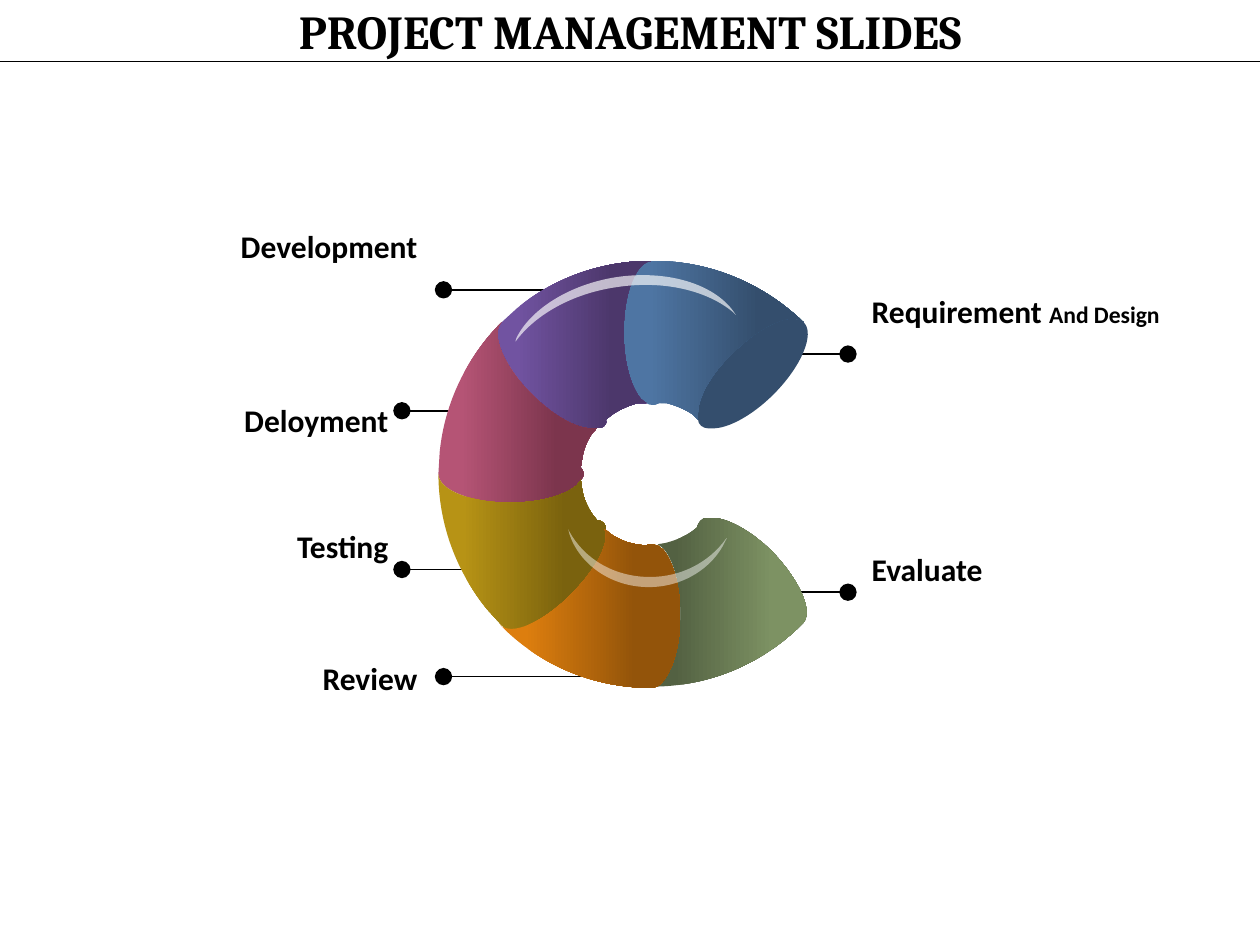
from dataclasses import dataclass

from lxml import etree
from pptx import Presentation
from pptx.dml.color import RGBColor
from pptx.enum.shapes import MSO_CONNECTOR
from pptx.enum.text import MSO_AUTO_SIZE, PP_ALIGN
from pptx.oxml.ns import qn
from pptx.util import Inches, Pt

STRAIGHT = MSO_CONNECTOR.STRAIGHT
FIT_SHAPE = MSO_AUTO_SIZE.SHAPE_TO_FIT_TEXT
LEFT, CENTER, RIGHT = PP_ALIGN.LEFT, PP_ALIGN.CENTER, PP_ALIGN.RIGHT


@dataclass(frozen=True)
class Theme:
    ink: str = "000000"
    shine: str = "FFFFFF"
    blue: tuple = ("4E75A3", "344E6D")
    purple: tuple = ("7153A1", "4C376B")
    pink: tuple = ("B55475", "7C354D")
    gold: tuple = ("B79315", "7A620E")
    green: tuple = ("536142", "7D9263")
    orange: tuple = ("DD7E0E", "93540A")
    title_font: str = "Cambria"
    label_font: str = "Calibri"
    title_size: float = 27
    label_size: float = 18
    detail_size: float = 13.5


class SlideBuilder:
    def __init__(self, page, theme):
        self.page = page
        self.theme = theme

    def line(self, start, end, width, dot=False):
        x1, y1 = start
        x2, y2 = end
        connector = self.page.shapes.add_connector(
            STRAIGHT, Inches(x1), Inches(y1), Inches(x2), Inches(y2))
        connector.line.color.rgb = RGBColor.from_string(self.theme.ink)
        connector.line.width = Pt(width)
        properties = connector._element.spPr
        if dot:
            etree.SubElement(properties.find(qn("a:ln")), qn("a:headEnd"),
                             type="oval", w="lg", len="lg")
        etree.SubElement(properties, qn("a:effectLst"))

    def outline(self, drawing):
        letters, points = [], []
        for command in drawing.split(";"):
            letter, *numbers = command.split()
            lengths = [Inches(float(number)) for number in numbers]
            letters.append(letter)
            points.extend(zip(lengths[::2], lengths[1::2]))
        builder = self.page.shapes.build_freeform(*points[0], scale=1.0)
        builder.add_line_segments(points[1:], close=True)
        shape = builder.convert_to_shape()
        shape.shadow.inherit = False
        shape.line.fill.background()

        nodes = iter(list(next(shape._element.iter(qn("a:path")))))
        for letter in letters:
            node = next(nodes)
            if letter == "C":
                curve = etree.Element(qn("a:cubicBezTo"))
                node.addprevious(curve)
                for corner in (node, next(nodes), next(nodes)):
                    curve.append(corner[0])
                    corner.getparent().remove(corner)
        return shape

    def solid(self, color, drawing, opacity=100):
        shape = self.outline(drawing)
        shape.fill.solid()
        shape.fill.fore_color.rgb = RGBColor.from_string(color)
        if opacity < 100:
            tone = shape._element.spPr.find(qn("a:solidFill"))[0]
            etree.SubElement(tone, qn("a:alpha"), val=str(opacity * 1000))

    def segment(self, colors, drawing):
        fill = self.outline(drawing).fill
        fill.gradient()
        fill.gradient_angle = 0
        for stop, color, position in zip(fill.gradient_stops, colors, (0.14, 0.75)):
            stop.color.rgb = RGBColor.from_string(color)
            stop.position = position

    def text(self, left, top, width, height, spans, font, align):
        box = self.page.shapes.add_textbox(
            Inches(left), Inches(top), Inches(width), Inches(height))
        frame = box.text_frame
        frame.word_wrap = True
        frame.auto_size = FIT_SHAPE
        para = frame.paragraphs[0]
        para.alignment = align
        for words, size in spans:
            span = para.add_run()
            span.text = words
            span.font.name = font
            span.font.size = Pt(size)
            span.font.bold = True
            span.font.color.rgb = RGBColor.from_string(self.theme.ink)

    def label(self, left, top, align, name, detail="", height=0.4):
        spans = [(name, self.theme.label_size)]
        if detail:
            spans.append((detail, self.theme.detail_size))
        self.text(left, top, 2.79, height, spans, self.theme.label_font, align)


def draw_ring(slide):
    theme = slide.theme
    slide.solid(
        theme.blue[1],
        "M 6.28 2.53;C 6.32 2.53 6.36 2.54 6.38 2.56;C 6.47 2.65 6.36 2.91 6.14 3.13;"
        "C 5.97 3.3 5.78 3.4 5.66 3.4;L 5.62 3.4;C 5.58 3.4 5.54 3.37 5.54 3.33;"
        "L 5.54 3.28;C 5.54 3.16 5.64 2.97 5.81 2.81;C 5.98 2.64 6.16 2.53 6.28 2.53")
    slide.segment(
        theme.blue,
        "M 5.18 2.07;C 5.65 2.07 6.07 2.26 6.38 2.56;C 6.29 2.47 6.04 2.58 5.81 2.81;"
        "C 5.64 2.97 5.54 3.16 5.54 3.28;L 5.54 3.33;L 5.5 3.29;"
        "C 5.44 3.25 5.37 3.22 5.29 3.2;L 5.23 3.2;C 5.2 3.22 5.16 3.22 5.13 3.2;"
        "L 5.09 3.17;C 5.01 3.08 4.95 2.88 4.95 2.64;C 4.95 2.32 5.05 2.07 5.18 2.07")
    slide.segment(
        theme.purple,
        "M 5.18 2.07;C 5.05 2.07 4.95 2.32 4.95 2.64;C 4.95 2.88 5.01 3.08 5.09 3.17;"
        "L 5.13 3.2;L 5.06 3.2;C 4.99 3.22 4.92 3.25 4.86 3.29;L 4.81 3.33;"
        "C 4.82 3.37 4.79 3.4 4.74 3.4;L 4.69 3.4;C 4.57 3.4 4.39 3.3 4.22 3.13;"
        "C 4.03 2.93 3.92 2.72 3.95 2.6;L 3.98 2.56;L 4.1 2.45;"
        "C 4.39 2.21 4.77 2.07 5.18 2.07")
    slide.segment(
        theme.pink,
        "M 3.98 2.56;C 3.89 2.65 4 2.91 4.22 3.13;C 4.39 3.3 4.57 3.4 4.69 3.4;"
        "L 4.74 3.4;L 4.7 3.44;C 4.66 3.5 4.63 3.57 4.62 3.65;L 4.61 3.71;"
        "C 4.64 3.75 4.64 3.78 4.61 3.81;L 4.58 3.85;C 4.49 3.93 4.29 3.99 4.05 3.99;"
        "C 3.74 3.99 3.48 3.89 3.48 3.76;L 3.49 3.59;C 3.53 3.19 3.71 2.83 3.98 2.56")
    slide.segment(
        theme.gold,
        "M 3.48 3.76;C 3.48 3.89 3.74 3.99 4.05 3.99;C 4.29 3.99 4.49 3.93 4.58 3.85;"
        "L 4.61 3.81;L 4.62 3.88;C 4.63 3.95 4.66 4.02 4.7 4.08;L 4.74 4.13;"
        "C 4.78 4.13 4.81 4.16 4.81 4.2;L 4.82 4.25;C 4.82 4.37 4.71 4.55 4.55 4.72;"
        "C 4.35 4.92 4.13 5.02 4.02 4.99;L 3.98 4.96;L 3.87 4.84;"
        "C 3.63 4.55 3.48 4.17 3.48 3.76")
    slide.segment(
        theme.green,
        "M 5.65 4.11;C 5.77 4.11 5.96 4.21 6.13 4.38;C 6.35 4.61 6.46 4.86 6.37 4.95;"
        "C 6.06 5.26 5.64 5.45 5.17 5.45;C 5.29 5.45 5.4 5.19 5.4 4.87;"
        "C 5.4 4.64 5.34 4.43 5.26 4.35;L 5.22 4.32;L 5.28 4.31;"
        "C 5.36 4.29 5.43 4.26 5.49 4.22;L 5.53 4.19;C 5.54 4.15 5.57 4.11 5.61 4.11")
    slide.segment(
        theme.orange,
        "M 4.8 4.2;L 4.85 4.24;C 4.91 4.28 4.98 4.31 5.05 4.32;L 5.12 4.33;"
        "C 5.15 4.32 5.18 4.32 5.22 4.33;L 5.26 4.36;C 5.34 4.45 5.4 4.65 5.4 4.89;"
        "C 5.4 5.2 5.29 5.46 5.17 5.46;C 4.7 5.46 4.27 5.27 3.97 4.96;"
        "C 4.06 5.05 4.31 4.94 4.53 4.72;C 4.7 4.55 4.81 4.37 4.81 4.25")
    slide.solid(
        theme.shine,
        "M 4.89 2.2;C 5.29 2.14 5.66 2.25 5.82 2.47;L 5.84 2.5;L 5.82 2.48;"
        "C 5.62 2.31 5.27 2.22 4.89 2.28;C 4.54 2.33 4.25 2.5 4.1 2.7;L 4.09 2.71;"
        "L 4.1 2.68;C 4.21 2.46 4.51 2.26 4.89 2.2", opacity=66)
    slide.solid(
        theme.shine,
        "M 5.15 4.66;C 4.85 4.66 4.6 4.48 4.52 4.24;L 4.51 4.2;L 4.52 4.22;"
        "C 4.64 4.44 4.88 4.58 5.16 4.58;C 5.41 4.58 5.63 4.46 5.76 4.28;L 5.77 4.27;"
        "L 5.76 4.29;C 5.66 4.51 5.42 4.66 5.15 4.66", opacity=46)


def main():
    deck = Presentation()
    deck.slide_width, deck.slide_height = Inches(10), Inches(7.5)
    theme = Theme()
    slide = SlideBuilder(deck.slides.add_slide(deck.slide_layouts[6]), theme)

    for dot_x, end_x, y in ((6.73, 5.88, 2.81), (6.73, 5.88, 4.7), (3.52, 4.82, 5.37),
                            (3.19, 4.04, 4.52), (3.19, 4.04, 3.26), (3.52, 4.37, 2.3)):
        slide.line((dot_x, y), (end_x, y), 1, dot=True)
    draw_ring(slide)

    slide.label(6.82, 2.27, LEFT, "Requirement ", "And Design", height=0.63)
    slide.label(6.82, 4.32, LEFT, "Evaluate")
    for left, top, name in ((0.62, 1.75, "Development"), (0.39, 3.13, "Deloyment"),
                            (0.39, 4.13, "Testing"), (0.62, 5.18, "Review")):
        slide.label(left, top, RIGHT, name)

    slide.text(0, -0.03, 10, 0.55, [("PROJECT MANAGEMENT SLIDES", theme.title_size)],
               theme.title_font, CENTER)
    slide.line((0, 0.49), (10, 0.49), 0.5)
    deck.save("out.pptx")


if __name__ == "__main__":
    main()
